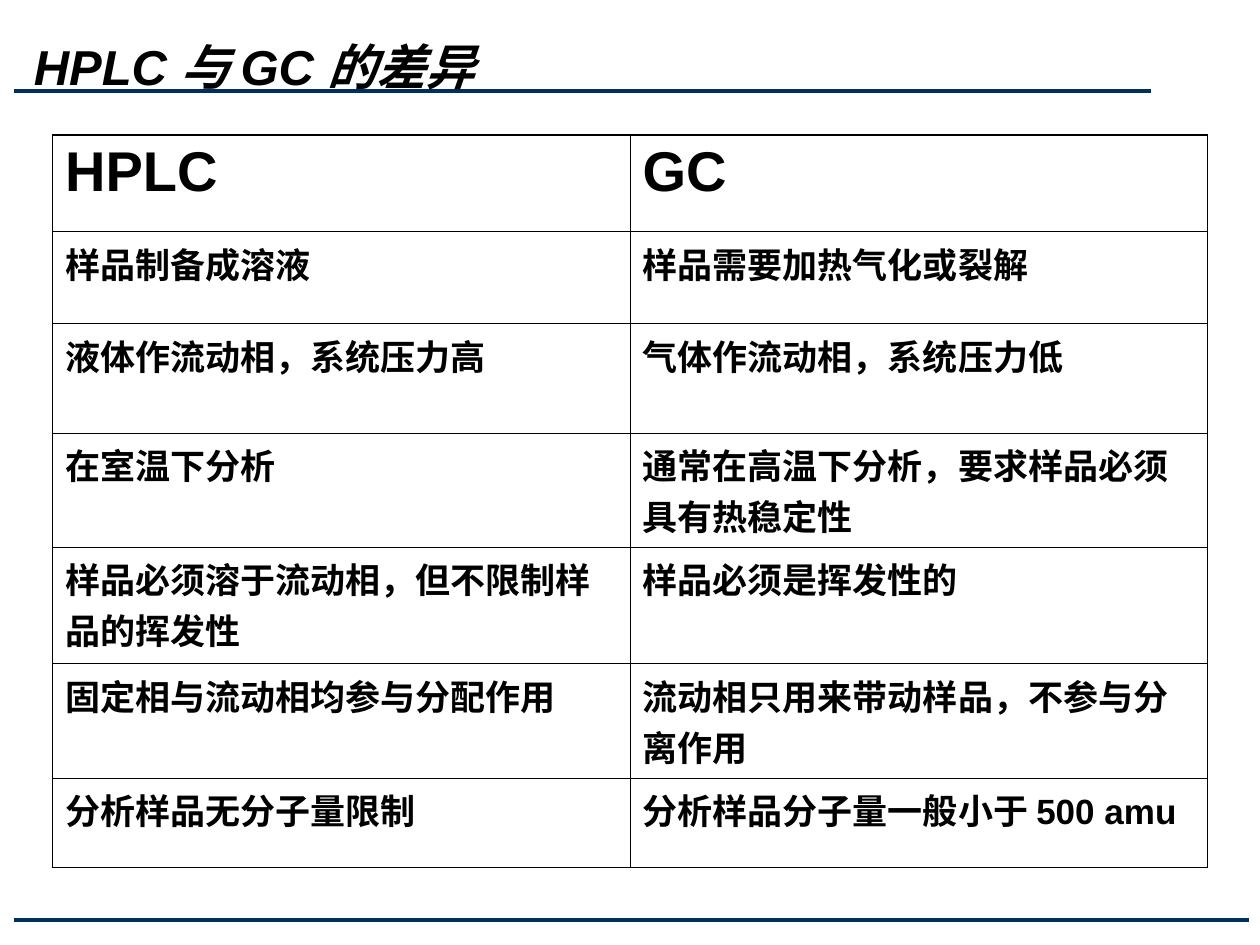
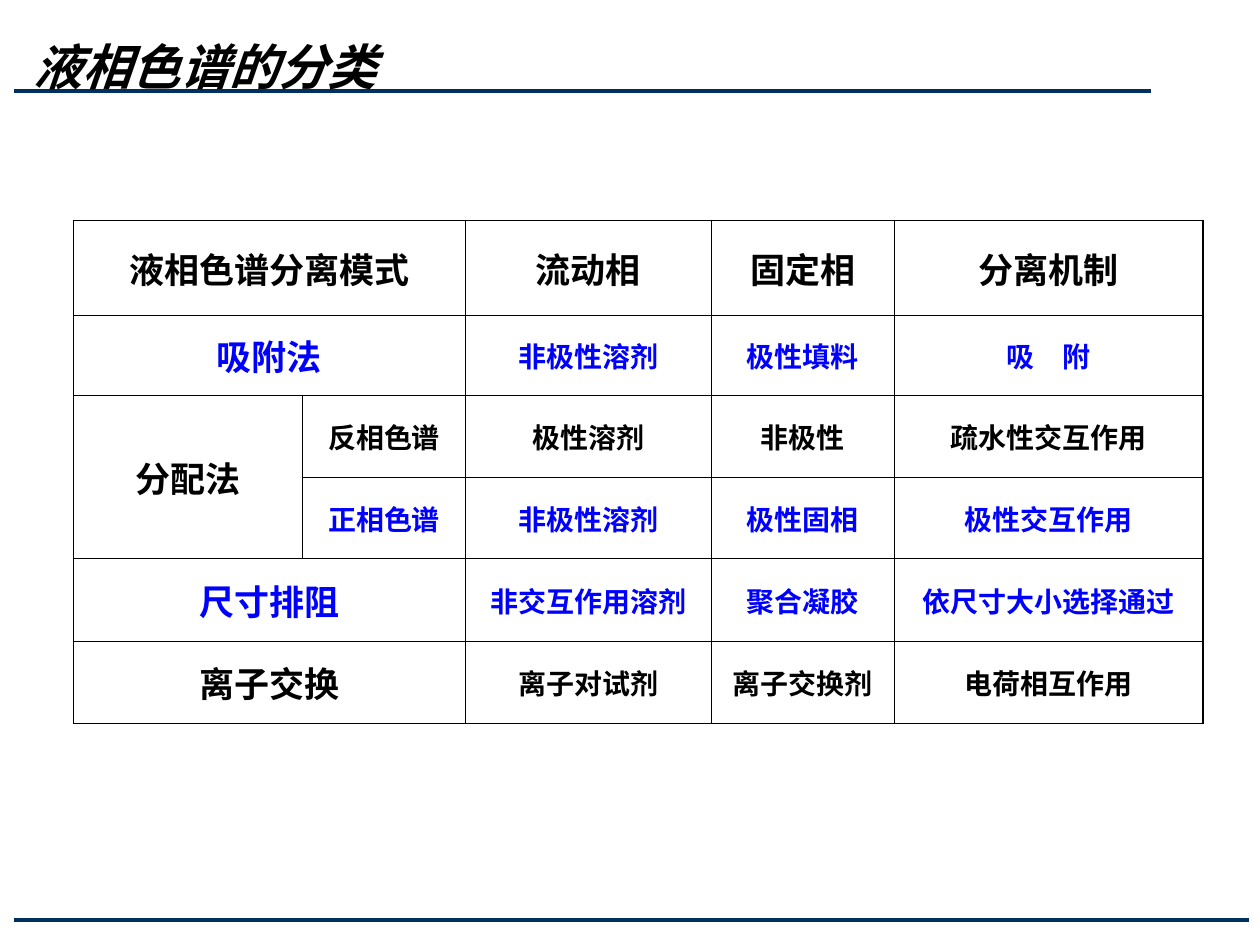
"""Build two slides on liquid chromatography: HPLC against GC, and separation modes."""
from lxml.etree import SubElement
from pptx import Presentation
from pptx.dml.color import RGBColor
from pptx.enum.shapes import MSO_CONNECTOR
from pptx.enum.text import MSO_ANCHOR, PP_ALIGN
from pptx.oxml.ns import qn
from pptx.util import Pt

NAVY = RGBColor(0x00, 0x30, 0x5C)
BLACK = RGBColor(0x00, 0x00, 0x00)
BLUE = RGBColor(0x00, 0x00, 0xFF)
LATIN_FONT, CHINESE_FONT = "Arial", "Noto Sans CJK SC"
OUTER_BORDER, INNER_BORDER = Pt(1.08), Pt(0.45)
RULES = [(52, 657.5), (525.5, 713.5)]

DIFFERENCES = [
    ("HPLC", "GC"),
    ("样品制备成溶液", "样品需要加热气化或裂解"),
    ("液体作流动相，系统压力高", "气体作流动相，系统压力低"),
    ("在室温下分析", "通常在高温下分析，要求样品必须具有热稳定性"),
    ("样品必须溶于流动相，但不限制样品的挥发性", "样品必须是挥发性的"),
    ("固定相与流动相均参与分配作用", "流动相只用来带动样品，不参与分离作用"),
    ("分析样品无分子量限制", "分析样品分子量一般小于 500 amu"),
]
MODES = [
    ("液相色谱分离模式", "", "流动相", "固定相", "分离机制"),
    ("吸附法", "", "非极性溶剂", "极性填料", "吸　附"),
    ("分配法", "反相色谱", "极性溶剂", "非极性", "疏水性交互作用"),
    ("", "正相色谱", "非极性溶剂", "极性固相", "极性交互作用"),
    ("尺寸排阻", "", "非交互作用溶剂", "聚合凝胶", "依尺寸大小选择通过"),
    ("离子交换", "", "离子对试剂", "离子交换剂", "电荷相互作用"),
]
BLUE_MODE_ROWS = {1, 3, 4}


def write(frame, text, size, color=BLACK, italic=None):
    frame.word_wrap = True
    paragraph = frame.paragraphs[0]
    paragraph.text = text
    font = paragraph.font
    font.size, font.bold, font.italic = Pt(size), True, italic
    font.name = LATIN_FONT
    font.color.rgb = color
    defaults = paragraph._p.pPr.find(qn("a:defRPr"))
    SubElement(defaults, qn("a:ea"), typeface=CHINESE_FONT)
    return paragraph


def add_grid(slide, left, top, widths, heights):
    table = slide.shapes.add_table(len(heights), len(widths), Pt(left), Pt(top),
                                   Pt(sum(widths)), Pt(sum(heights))).table
    table.first_row = table.horz_banding = False
    for column, width in zip(table.columns, widths):
        column.width = Pt(width)
    for row, height in zip(table.rows, heights):
        row.height = Pt(height)
    for r in range(len(heights)):
        for c in range(len(widths)):
            cell = table.cell(r, c)
            properties = cell._tc.get_or_add_tcPr()
            edges = {"a:lnL": c == 0, "a:lnR": c == len(widths) - 1,
                     "a:lnT": r == 0, "a:lnB": r == len(heights) - 1}
            for tag, is_outer in edges.items():
                border = SubElement(properties, qn(tag),
                                    w=str(OUTER_BORDER if is_outer else INNER_BORDER))
                fill = SubElement(border, qn("a:solidFill"))
                SubElement(fill, qn("a:srgbClr"), val=str(BLACK))
            cell.fill.background()
    return table


deck = Presentation()
deck.slide_width, deck.slide_height = Pt(720), Pt(540)

slides = []
for heading in ("HPLC 与 GC 的差异", "液相色谱的分类"):
    slide = deck.slides.add_slide(deck.slide_layouts[6])
    for y, right in RULES:
        rule = slide.shapes.add_connector(MSO_CONNECTOR.STRAIGHT, Pt(8), Pt(y), Pt(right), Pt(y))
        rule.line.color.rgb = NAVY
        rule.line.width = Pt(2.25)
        SubElement(rule._element.spPr, qn("a:effectLst"))
    title = slide.shapes.add_textbox(Pt(12.25), Pt(12.25), Pt(648), Pt(50.4)).text_frame
    title.vertical_anchor = MSO_ANCHOR.MIDDLE
    write(title, heading, 28, italic=True)
    slides.append(slide)
difference_slide, mode_slide = slides

difference_table = add_grid(difference_slide, 30, 77, [330, 330],
                            [55.4, 52.6, 62.4, 65.2, 66.8, 65.2, 51.2])
for r, texts in enumerate(DIFFERENCES):
    for c, text in enumerate(texts):
        write(difference_table.cell(r, c).text_frame, text, 32 if r == 0 else 20)

mode_table = add_grid(mode_slide, 42, 126, [131, 93, 140.5, 104.5, 176.5],
                      [54.3, 45.8, 46.8, 46.3, 47.4, 46.8])
for r in (0, 1, 4, 5):
    mode_table.cell(r, 0).merge(mode_table.cell(r, 1))
mode_table.cell(2, 0).merge(mode_table.cell(3, 0))
for r, texts in enumerate(MODES):
    for c, text in enumerate(texts):
        cell = mode_table.cell(r, c)
        if cell.is_spanned:
            continue
        cell.vertical_anchor = MSO_ANCHOR.MIDDLE
        entry = write(cell.text_frame, text, 20 if r == 0 or c == 0 else 16,
                      BLUE if r in BLUE_MODE_ROWS else BLACK)
        entry.alignment = PP_ALIGN.CENTER

deck.save("out.pptx")
